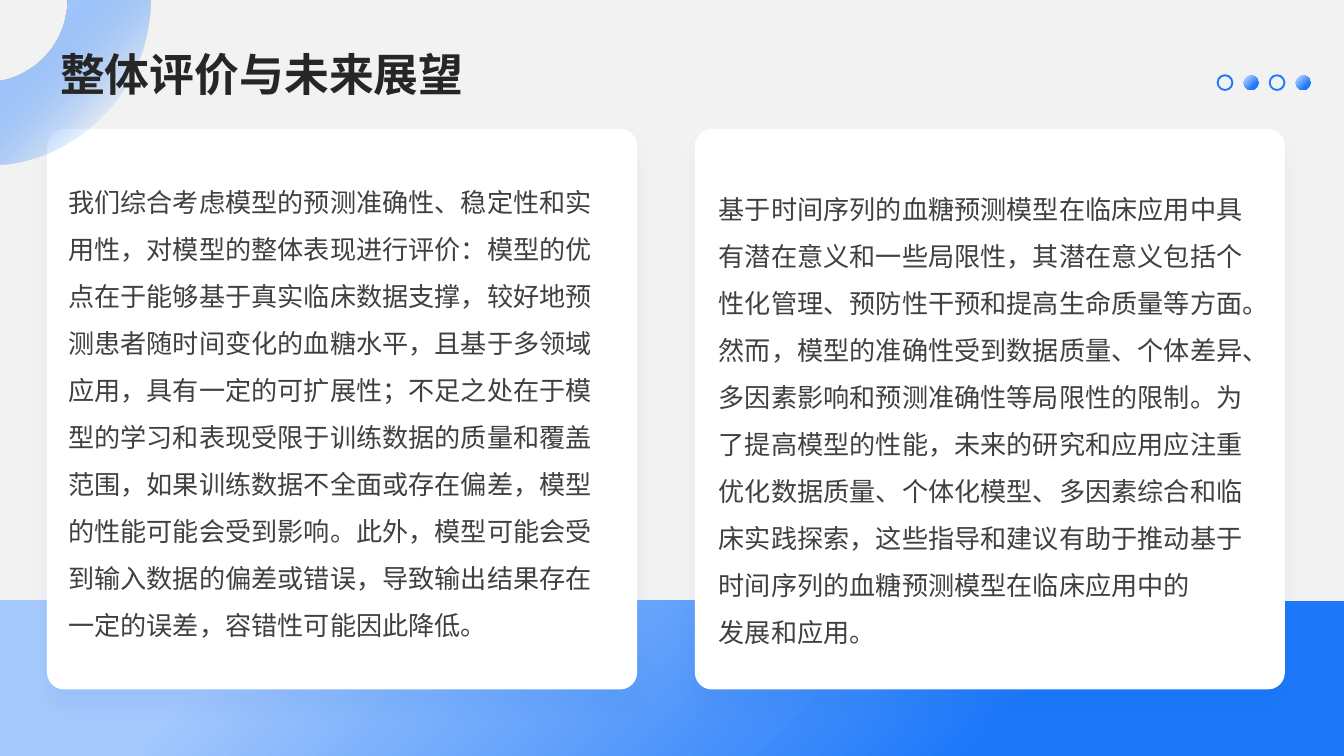
from dataclasses import dataclass

from lxml import etree
from pptx import Presentation
from pptx.dml.color import RGBColor
from pptx.enum import shapes, text
from pptx.oxml import ns
from pptx.util import Inches, Pt

WHITE = RGBColor(0xFF, 0xFF, 0xFF)
GREY = RGBColor(0xF2, 0xF2, 0xF2)
INK = RGBColor(0x26, 0x26, 0x26)
BODY = RGBColor(0x40, 0x40, 0x40)
SKY = RGBColor(0xA5, 0xC9, 0xFD)
BLUE = RGBColor(0x1D, 0x78, 0xFA)
NAVY = RGBColor(0x05, 0x57, 0xCD)
FONT = "Noto Sans CJK SC"
KIND = shapes.MSO_SHAPE
SLANT = '<a:lin ang="2700000" scaled="0"/>'
ROUND = '<a:path path="circle"><a:fillToRect r="100000" b="100000"/></a:path>'


@dataclass
class Card:
    left: float
    text_left: float
    text_top: float
    paras: list[str]


CARDS = [
    Card(0.35, 0.41, 1.22, [
        "我们综合考虑模型的预测准确性、稳定性和实用性，对模型的整体表现进行评价："
        "模型的优点在于能够基于真实临床数据支撑，较好地预测患者随时间变化的血糖水平，"
        "且基于多领域应用，具有一定的可扩展性；不足之处在于模型的学习和表现受限于"
        "训练数据的质量和覆盖范围，如果训练数据不全面或存在偏差，模型的性能可能会"
        "受到影响。此外，模型可能会受到输入数据的偏差或错误，导致输出结果存在一定的"
        "误差，容错性可能因此降低。"]),
    Card(5.17, 5.25, 1.27, [
        "基于时间序列的血糖预测模型在临床应用中具有潜在意义和一些局限性，其潜在意义"
        "包括个性化管理、预防性干预和提高生命质量等方面。然而，模型的准确性受到数据"
        "质量、个体差异、多因素影响和预测准确性等局限性的限制。为了提高模型的性能，"
        "未来的研究和应用应注重优化数据质量、个体化模型、多因素综合和临床实践探索，"
        "这些指导和建议有助于推动基于时间序列的血糖预测模型在临床应用中的",
        "发展和应用。"]),
]


def parse_xml(xml: str):
    head, tail = xml.split(">", 1)
    return etree.fromstring(f"{head} {ns.nsdecls('a')}>{tail}")


def add_shape(slide, kind, left: float, top: float, width: float, height: float):
    shape = slide.shapes.add_shape(
        kind, Inches(left), Inches(top), Inches(width), Inches(height))
    shape.shadow.inherit = False
    shape.line.fill.background()
    return shape


def blend(shape, way: str, alpha: int = 100) -> None:
    """Fill with the sky-to-blue gradient; alpha applies to its blue end."""
    shape.fill.solid()
    old = shape._element.spPr.find(ns.qn("a:solidFill"))
    new = parse_xml(
        f'<a:gradFill><a:gsLst><a:gs pos="18000"><a:srgbClr val="{SKY}"/></a:gs>'
        f'<a:gs pos="75000"><a:srgbClr val="{BLUE}"><a:alpha val="{alpha * 1000}"/>'
        f'</a:srgbClr></a:gs></a:gsLst>{way}</a:gradFill>')
    old.getparent().replace(old, new)


def add_text(slide, left: float, top: float, width: float, height: float,
             paras: list[str], size: int, color: RGBColor,
             bold: bool = False, space: float = 1.0) -> None:
    box = slide.shapes.add_textbox(
        Inches(left), Inches(top), Inches(width), Inches(height))
    frame = box.text_frame
    frame.word_wrap = True
    frame.auto_size = text.MSO_AUTO_SIZE.SHAPE_TO_FIT_TEXT
    frame.text = "\n".join(paras)
    for para in frame.paragraphs:
        para.line_spacing = space
        font = para.font
        font.name, font.size, font.bold = FONT, Pt(size), bold
        font.color.rgb = color
        east = etree.SubElement(font._element, ns.qn("a:ea"))
        east.set("typeface", FONT)


def add_card(slide, card: Card) -> None:
    panel = add_shape(slide, KIND.ROUNDED_RECTANGLE, card.left, 0.96, 4.39, 4.17)
    panel.adjustments[0] = 0.03
    panel.fill.solid()
    panel.fill.fore_color.rgb = WHITE
    glow = panel._element.spPr.find(ns.qn("a:effectLst"))
    glow.append(parse_xml(
        f'<a:outerShdw blurRad="{Pt(10)}" dist="{Pt(10)}" dir="5400000" algn="t" '
        f'rotWithShape="0"><a:srgbClr val="{NAVY}"><a:alpha val="5000"/>'
        '</a:srgbClr></a:outerShdw>'))


def add_body(slide, card: Card) -> None:
    add_text(slide, card.text_left, card.text_top, 4.23, 3.63,
             card.paras, 14, BODY, space=1.5)


def curve(a, b, c, d, steps: int = 40) -> list[tuple[float, float]]:
    """Points along a cubic Bezier curve."""
    points = []
    for i in range(steps + 1):
        t = i / steps
        s = 1 - t
        points.append(tuple(
            s**3 * p + 3 * s * s * t * q + 3 * s * t * t * r + t**3 * e
            for p, q, r, e in zip(a, b, c, d)))
    return points


def add_ring(slide) -> None:
    edge = curve((1.12, 0), (1.12, 0.64), (0.63, 1.16), (0.02, 1.22))
    edge += [(0, 1.22), (0, 0.6)]
    edge += curve((0.01, 0.6), (0.29, 0.54), (0.5, 0.3), (0.5, 0))
    outline = slide.shapes.build_freeform(Inches(0.5), 0, scale=1.0)
    outline.add_line_segments([(Inches(x), Inches(y)) for x, y in edge])
    ring = outline.convert_to_shape()
    ring.shadow.inherit = False
    ring.line.fill.background()
    blend(ring, SLANT, alpha=0)


def add_dots(slide) -> None:
    gap = (9.64 - 9.06) / 3
    for i in range(4):
        dot = add_shape(slide, KIND.OVAL, 9.06 + i * gap, 0.56, 0.11, 0.11)
        if i % 2:
            blend(dot, SLANT)
        else:
            dot.fill.background()
            dot.line.color.rgb = BLUE
            dot.line.width = Pt(1)


def main() -> None:
    # A 16:9 slide
    deck = Presentation()
    deck.slide_width = Inches(10)
    deck.slide_height = Inches(10 * 9 / 16)
    slide = deck.slides.add_slide(deck.slide_layouts[6])
    slide.background.fill.solid()
    slide.background.fill.fore_color.rgb = GREY

    # Bottom band
    band = add_shape(slide, KIND.RECTANGLE, 0, 4.47, 10, 1.16)
    blend(band, ROUND)

    # Cards, with the corner ring over the first
    for card in CARDS:
        add_card(slide, card)
    add_ring(slide)

    # Title, body text and dots
    add_text(slide, 0.35, 0.3, 4.34, 0.5, ["整体评价与未来展望"], 24, INK, bold=True)
    for card in CARDS:
        add_body(slide, card)
    add_dots(slide)

    deck.save("out.pptx")


if __name__ == "__main__":
    main()
